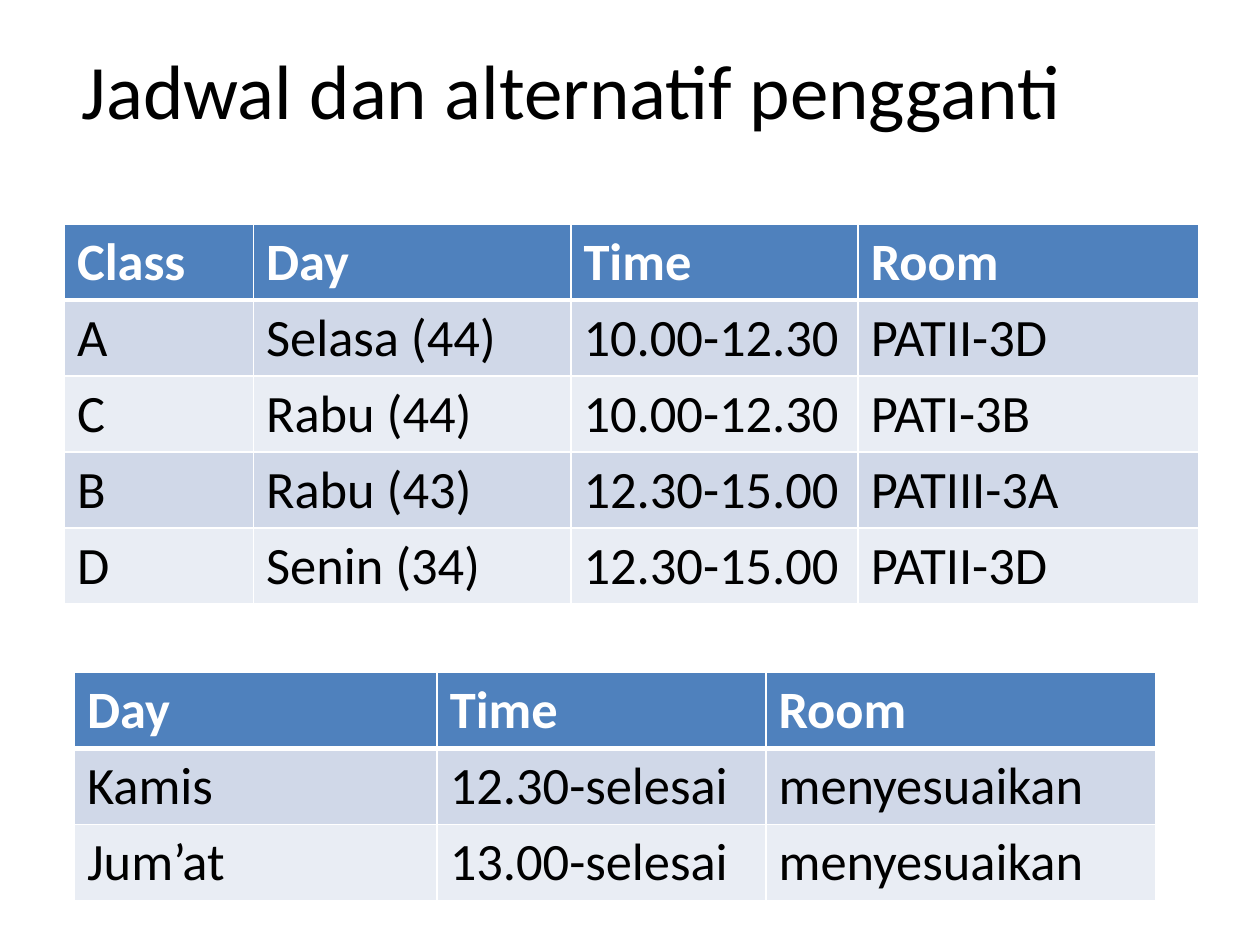
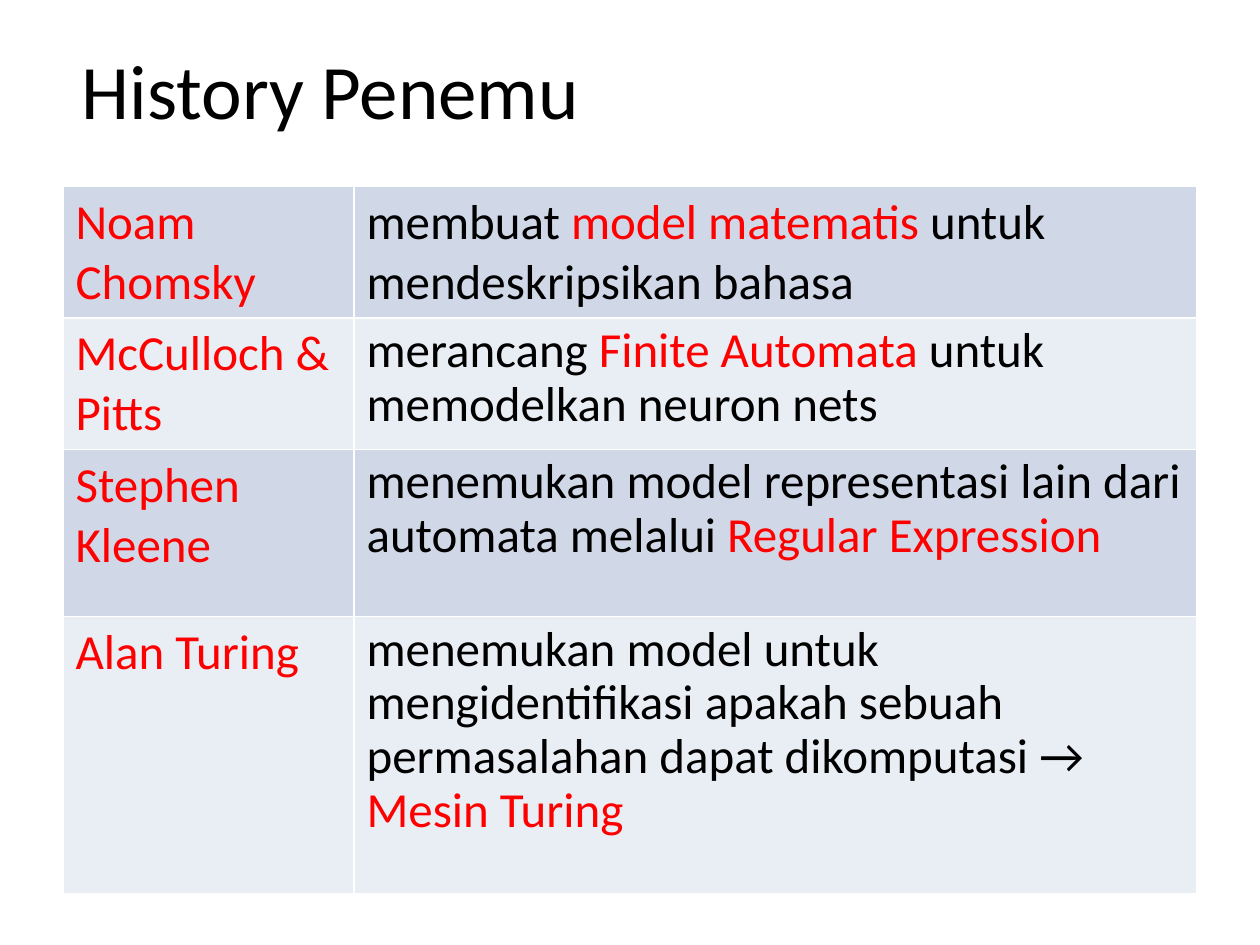
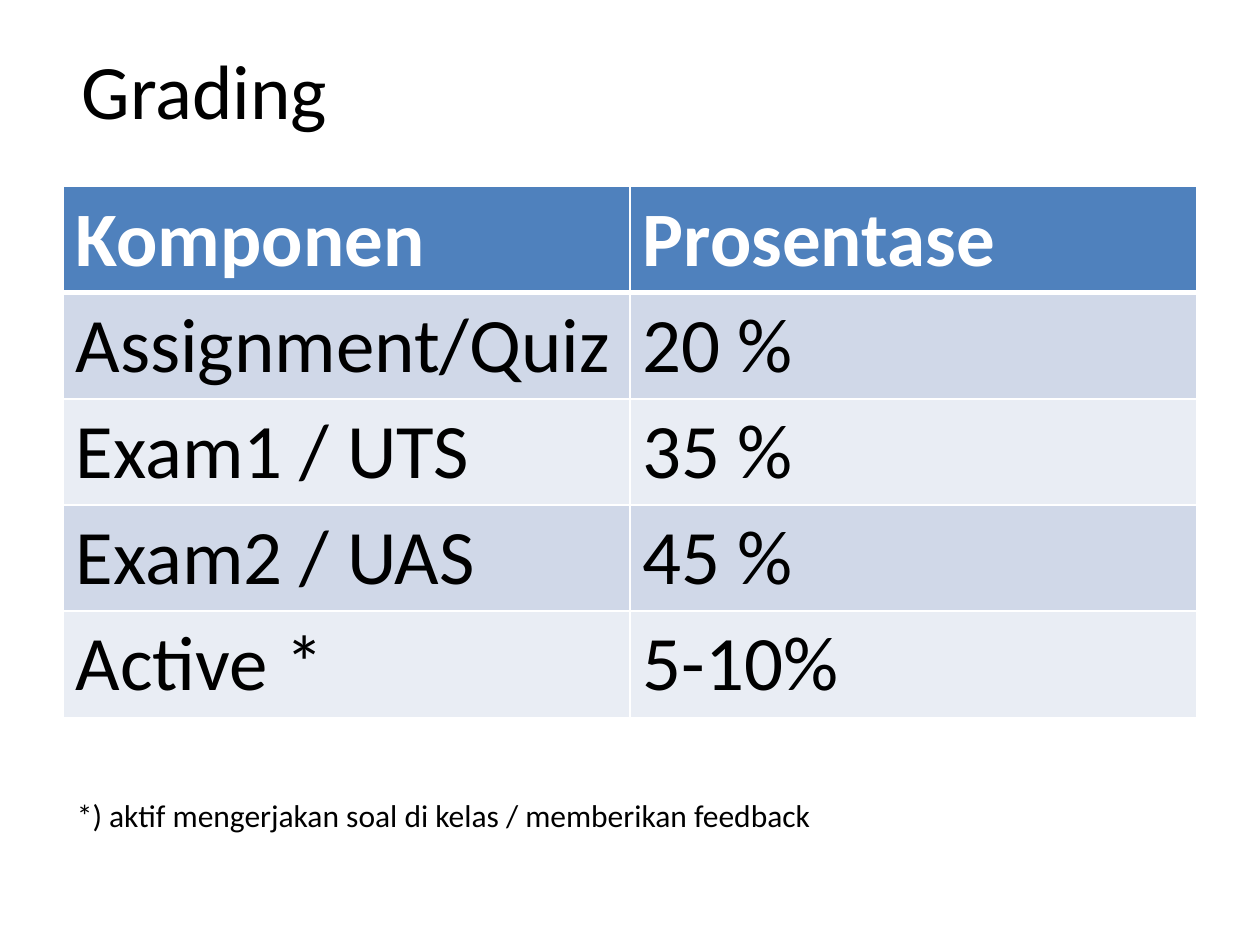
from dataclasses import dataclass

from lxml import etree
from pptx import Presentation
from pptx import util as u
from pptx.dml.color import RGBColor
from pptx.enum import text
from pptx.oxml.ns import qn


@dataclass(frozen=True)
class Theme:
    font: str = "Calibri"
    ink: str = "000000"
    mark: str = "FF0000"
    paper: str = "FFFFFF"
    header: str = "4F81BD"
    bands: tuple = ("D0D8E8", "E9EDF4")
    title_size: int = 44
    schedule_size: int = 30
    history_size: int = 28
    grading_size: int = 44
    note_size: int = 18
    rule: int = 1
    header_rule: int = 3


T = Theme()
TITLE_BOX = (1.4, 0.2, 22.86, 3.18)
TABLE_LEFT, TABLE_TOP, TABLE_WIDTH = 1.27, 3.76, 22.86


def set_all(obj, **values):
    for name, value in values.items():
        setattr(obj, name, value)


def add_runs(p, content, size, color=T.ink, bold=False):
    """Content is a string, or a list of (string, colour) pairs."""
    parts = [(content, color)] if isinstance(content, str) else content
    for words, run_color in parts:
        r = p.add_run()
        r.text = words
        set_all(r.font, name=T.font, size=u.Pt(size), bold=bold)
        r.font.color.rgb = RGBColor.from_string(run_color)


def add_text(s, box, words, size, **frame):
    tf = s.shapes.add_textbox(*map(u.Cm, box)).text_frame
    set_all(tf, **frame)
    add_runs(tf.paragraphs[0], words, size)


def add_title(s, words):
    add_text(s, TITLE_BOX, words, T.title_size, word_wrap=True,
             vertical_anchor=text.MSO_ANCHOR.MIDDLE)


def set_borders(cell, top, bottom):
    tc_pr = cell._tc.get_or_add_tcPr()
    widths = {"a:lnL": T.rule, "a:lnR": T.rule, "a:lnT": top, "a:lnB": bottom}
    for tag, width in widths.items():
        ln = etree.SubElement(tc_pr, qn(tag), w=str(u.Pt(width)))
        fill = etree.SubElement(ln, qn("a:solidFill"))
        etree.SubElement(fill, qn("a:srgbClr"), val=T.paper)


def add_grid(s, box, shares, heights, rows, size, header=True):
    """Banded table; shares are the column widths as parts of the box width."""
    left, top, width = box
    frame = s.shapes.add_table(len(rows), len(shares), u.Cm(left), u.Cm(top),
                               u.Cm(width), u.Cm(sum(heights)))
    table = frame.table
    set_all(table, first_row=header, horz_banding=False)
    for column, share in zip(table.columns, shares):
        column.width = u.Cm(width * share / sum(shares))
    for i, (row, height) in enumerate(zip(rows, heights)):
        table.rows[i].height = u.Cm(height)
        is_header = header and i == 0
        fill = T.header if is_header else T.bands[(i - header) % 2]
        for j, content in enumerate(row):
            cell = table.cell(i, j)
            set_borders(cell, T.header_rule if header and i == 1 else T.rule,
                        T.header_rule if is_header else T.rule)
            cell.fill.solid()
            cell.fill.fore_color.rgb = RGBColor.from_string(fill)
            add_runs(cell.text_frame.paragraphs[0], content, size,
                     T.paper if is_header else T.ink, is_header)
    return table


def schedule_slide(s):
    add_title(s, "Jadwal dan alternatif pengganti")
    classes = [
        ("Class", "Day", "Time", "Room"),
        ("A", "Selasa (44)", "10.00-12.30", "PATII-3D"),
        ("C", "Rabu (44)", "10.00-12.30", "PATI-3B"),
        ("B", "Rabu (43)", "12.30-15.00", "PATIII-3A"),
        ("D", "Senin (34)", "12.30-15.00", "PATII-3D"),
    ]
    replacements = [
        ("Day", "Time", "Room"),
        ("Kamis", "12.30-selesai", "menyesuaikan"),
        ("Jum’at", "13.00-selesai", "menyesuaikan"),
    ]
    for box, shares, rows in (
        ((1.3, 4.52, TABLE_WIDTH), (1.5, 2.52, 2.28, 2.7), classes),
        ((1.5, 13.56, 21.79), (2.88, 2.61, 3.09), replacements),
    ):
        add_grid(s, box, shares, [1.53] * len(rows), rows, T.schedule_size)


def history_slide(s):
    add_title(s, "History Penemu")
    findings = [
        ("Noam Chomsky", [("membuat ", T.ink), ("model matematis ", T.mark),
                          ("untuk mendeskripsikan bahasa", T.ink)]),
        ("McCulloch & Pitts", [("merancang ", T.ink), ("Finite Automata ", T.mark),
                               ("untuk memodelkan neuron nets", T.ink)]),
        ("Stephen Kleene", [
            ("menemukan model representasi lain dari automata melalui ", T.ink),
            ("Regular Expression", T.mark)]),
        ("Alan Turing", [
            ("menemukan model untuk mengidentifikasi apakah sebuah "
             "permasalahan dapat dikomputasi → ", T.ink),
            ("Mesin Turing", T.mark)]),
    ]
    rows = [([(name, T.mark)], finding) for name, finding in findings]
    table = add_grid(s, (TABLE_LEFT, TABLE_TOP, TABLE_WIDTH), (2.31, 6.69),
                     (2.65, 2.65, 3.37, 5.59), rows, T.history_size, header=False)
    for i in range(1, len(rows)):
        table.cell(i, 1).text_frame.paragraphs[0].line_spacing = 0.9


def grading_slide(s):
    add_title(s, "Grading")
    rows = [
        ("Komponen", "Prosentase"),
        ("Assignment/Quiz", "20 %"),
        ("Exam1 / UTS", "35 %"),
        ("Exam2 / UAS", "45 %"),
        ("Active *", "5-10%"),
    ]
    add_grid(s, (TABLE_LEFT, TABLE_TOP, TABLE_WIDTH), (1, 1),
             [2.14] * len(rows), rows, T.grading_size)
    add_text(s, (1.3, 15.93, 15.49, 1.02),
             "*) aktif mengerjakan soal di kelas / memberikan feedback",
             T.note_size, word_wrap=False,
             auto_size=text.MSO_AUTO_SIZE.SHAPE_TO_FIT_TEXT)


def main():
    prs = Presentation()
    set_all(prs, slide_width=u.Cm(25.4), slide_height=u.Cm(19.05))
    blank = prs.slide_layouts[6]
    for build in (schedule_slide, history_slide, grading_slide):
        build(prs.slides.add_slide(blank))
    prs.save("out.pptx")


if __name__ == "__main__":
    main()
